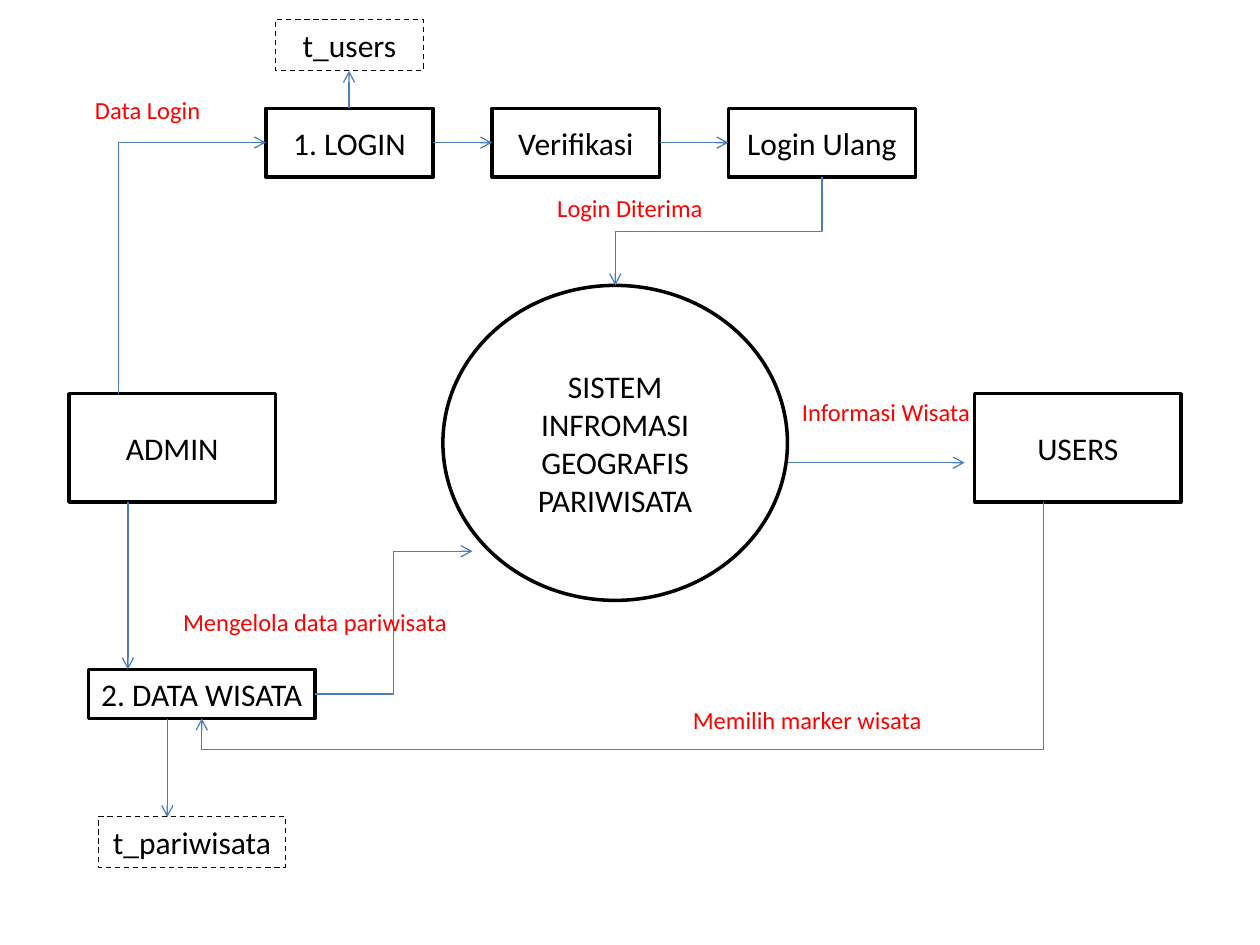
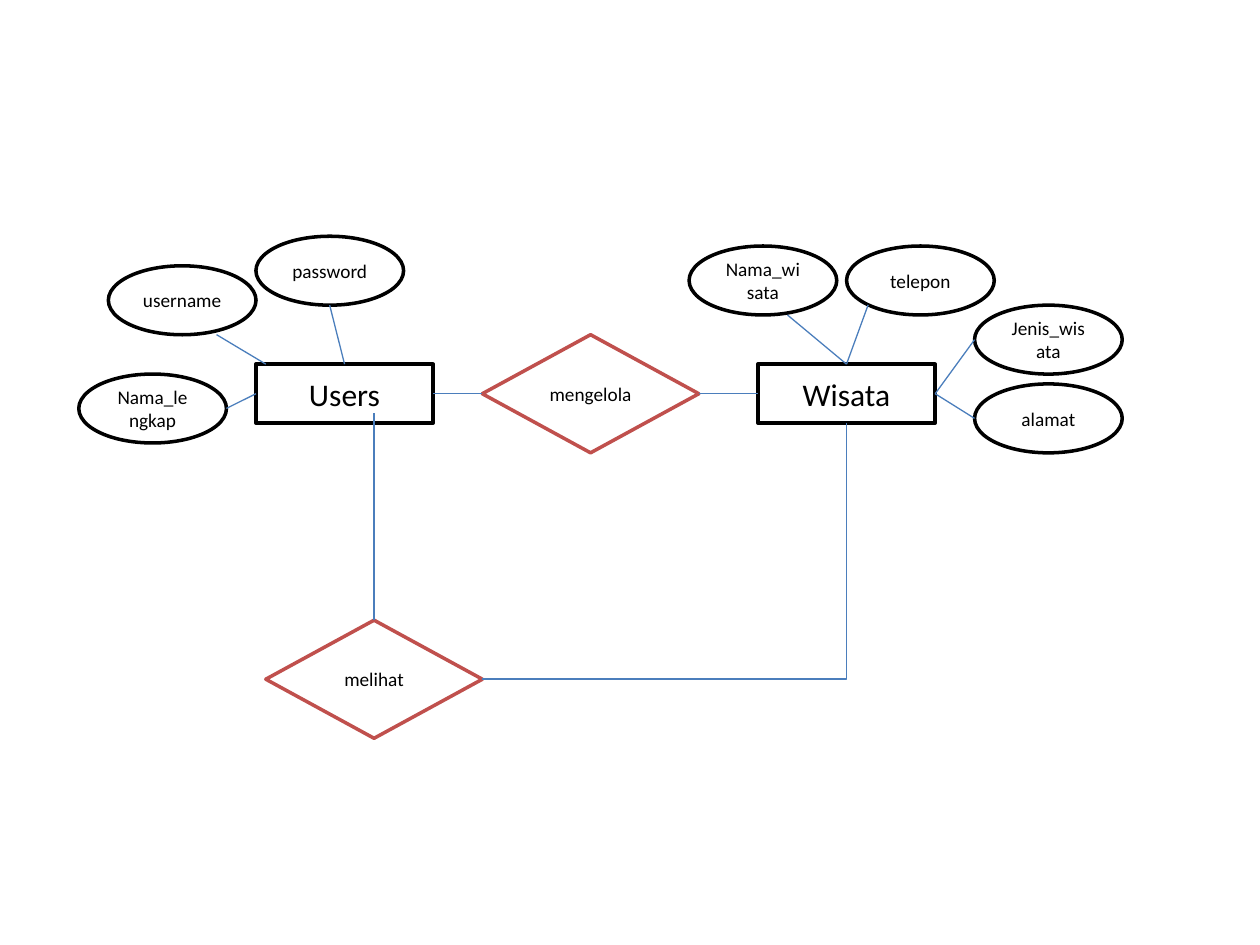
from dataclasses import dataclass

from lxml import etree
from pptx import Presentation
from pptx.dml.color import RGBColor
from pptx.enum.dml import MSO_LINE
from pptx.enum.shapes import MSO_CONNECTOR, MSO_SHAPE
from pptx.enum.text import MSO_ANCHOR, MSO_AUTO_SIZE, PP_ALIGN
from pptx.oxml.ns import qn
from pptx.util import Pt

RECT, ELLIPSE, DIAMOND = MSO_SHAPE.RECTANGLE, MSO_SHAPE.OVAL, MSO_SHAPE.DIAMOND
STRAIGHT, ELBOW = MSO_CONNECTOR.STRAIGHT, MSO_CONNECTOR.ELBOW
DASH = MSO_LINE.DASH
MIDDLE, TOP = MSO_ANCHOR.MIDDLE, MSO_ANCHOR.TOP
CENTER = PP_ALIGN.CENTER
GROW = MSO_AUTO_SIZE.SHAPE_TO_FIT_TEXT

BLACK = RGBColor(0x00, 0x00, 0x00)
WHITE = RGBColor(0xFF, 0xFF, 0xFF)
RED = RGBColor(0xFF, 0x00, 0x00)
BRICK = RGBColor(0xC0, 0x50, 0x4D)
BLUE = RGBColor(0x4B, 0x7E, 0xBC)
FONT = "Calibri"
THICK, THIN = 2, 0.75
LABEL_W, LABEL_H = 213.75, 24.25


@dataclass
class Node:
    text: str
    x: float
    y: float
    w: float
    h: float
    kind: int = RECT
    size: float = 18
    line: RGBColor = BLACK


@dataclass
class Label:
    text: str
    x: float
    y: float
    w: float = LABEL_W
    h: float = LABEL_H
    size: float = 14
    color: RGBColor = RED
    dashed: bool = False


@dataclass
class Link:
    start: tuple[float, float]
    end: tuple[float, float]
    arrow: bool = False
    bends: int = 0
    turn: int = 0
    adjust: tuple[float, ...] = ()


def write(tf, text: str, size: float, color: RGBColor, anchor) -> None:
    tf.word_wrap = True
    tf.vertical_anchor = anchor
    p = tf.paragraphs[0]
    p.alignment = CENTER
    r = p.add_run()
    r.text = text
    r.font.name = FONT
    r.font.size = Pt(size)
    r.font.color.rgb = color


def draw_node(s, node: Node) -> None:
    sp = s.shapes.add_shape(node.kind, Pt(node.x), Pt(node.y), Pt(node.w), Pt(node.h))
    sp.shadow.inherit = False
    sp.fill.solid()
    sp.fill.fore_color.rgb = WHITE
    sp.line.color.rgb = node.line
    sp.line.width = Pt(THICK)
    write(sp.text_frame, node.text, node.size, BLACK, MIDDLE)


def draw_label(s, label: Label) -> None:
    sp = s.shapes.add_textbox(Pt(label.x), Pt(label.y), Pt(label.w), Pt(label.h))
    if label.dashed:
        sp.line.color.rgb = BLACK
        sp.line.width = Pt(THIN)
        sp.line.dash_style = DASH
    write(sp.text_frame, label.text, label.size, label.color, TOP)
    sp.text_frame.auto_size = GROW


def unturned(link: Link) -> list[float]:
    cx = (link.start[0] + link.end[0]) / 2
    cy = (link.start[1] + link.end[1]) / 2
    dx, dy = link.start[0] - cx, link.start[1] - cy
    for _ in range(link.turn // 90):
        dx, dy = dy, -dx
    return [cx + dx, cy + dy, cx - dx, cy - dy]


def draw_link(s, link: Link) -> None:
    kind = ELBOW if link.bends else STRAIGHT
    cn = s.shapes.add_connector(kind, *(Pt(v) for v in unturned(link)))
    cn.line.color.rgb = BLUE
    cn.line.width = Pt(THIN)
    sppr = cn._element.spPr
    if link.turn:
        sppr.find(qn("a:xfrm")).set("rot", str(link.turn * 60000))
    if link.bends:
        geom = sppr.find(qn("a:prstGeom"))
        geom.set("prst", f"bentConnector{link.bends + 1}")
        guides = geom.find(qn("a:avLst"))
        for i, value in enumerate(link.adjust, 1):
            etree.SubElement(guides, qn("a:gd"), name=f"adj{i}",
                             fmla=f"val {round(value * 100000)}")
    if link.arrow:
        etree.SubElement(sppr.find(qn("a:ln")), qn("a:tailEnd"), type="arrow")
    etree.SubElement(sppr, qn("a:effectLst"))


def attribute(text: str, x: float, y: float) -> Node:
    return Node(text, x, y, 84.4, 39.4, ELLIPSE, 11)


def relation(text: str, x: float, y: float) -> Node:
    return Node(text, x, y, 123.75, 67.5, DIAMOND, 11, BRICK)


def entity(text: str, x: float) -> Node:
    return Node(text, x, 208.1, 101.25, 33.75)


def table_name(text: str, x: float, y: float, w: float) -> Label:
    return Label(text, x, y, w, 29.1, 18, BLACK, True)


def draw_slide(prs, nodes: list[Node], links: list[Link], labels: list[Label]) -> None:
    s = prs.slides.add_slide(prs.slide_layouts[6])
    for node in nodes:
        draw_node(s, node)
    for link in links:
        draw_link(s, link)
    for label in labels:
        draw_label(s, label)


ACTOR_Y, ACTOR_W, ACTOR_H = 225, 118.1, 61.9
STEP_Y, STEP_W, STEP_H = 61.9, 95.6, 39.4
STEP_MID = 81.5

FLOW_NODES = [
    Node("SISTEM INFROMASI GEOGRAFIS PARIWISATA", 253.1, 163.1, 196.9, 180, ELLIPSE),
    Node("ADMIN", 39.4, ACTOR_Y, ACTOR_W, ACTOR_H),
    Node("USERS", 556.9, ACTOR_Y, ACTOR_W, ACTOR_H),
    Node("1. LOGIN", 151.9, STEP_Y, STEP_W, STEP_H),
    Node("Verifikasi", 281.25, STEP_Y, STEP_W, STEP_H),
    Node("Login Ulang", 416.25, STEP_Y, 106.9, STEP_H),
    Node("2. DATA WISATA", 50.6, 382.5, 129.4, 28.1),
]
FLOW_LINKS = [
    Link((67.5, 225), (151.9, STEP_MID), True, 1, 90),
    Link((247.5, STEP_MID), (281.25, STEP_MID), True),
    Link((376.9, STEP_MID), (416.25, STEP_MID), True),
    Link((469.7, 101.25), (351.6, 163.1), True, 2, 90, (0.5,)),
    Link((73.1, 286.9), (73.1, 382.5), True),
    Link((180, 396.6), (270, 315), True, 2, 0, (0.5,)),
    Link((450, 264.4), (551.25, 264.4), True),
    Link((596.25, 286.9), (115.3, 410.6), True, 3, 180, (0, 1.145)),
    Link((199.5, 61.9), (199.5, 40.5), True),
    Link((95.6, 410.6), (95.6, 467), True),
]
FLOW_LABELS = [
    Label("Data Login", -22.5, 50.6),
    Label("Login Diterima", 253.1, 106.9),
    Label("Informasi Wisata", 399.4, 223.2),
    Label("Memilih marker wisata", 354.4, 399.4),
    Label("Mengelola data pariwisata", 73.1, 343.4),
    table_name("t_users", 157.5, 11.25, 84.4),
    table_name("t_pariwisata", 56.25, 466.6, 106.9),
]

USERS_MID, WISATA_TOP, WISATA_SIDE = 225, (483.75, 208.1), (534.4, 225)

ER_NODES = [
    entity("Users", 146.25),
    entity("Wisata", 433.1),
    relation("mengelola", 275.6, 191.25),
    relation("melihat", 151.9, 354.4),
    attribute("username", 61.9, 151.9),
    attribute("password", 146.25, 135),
    attribute("Nama_lengkap", 45, 213.75),
    attribute("Nama_wisata", 393.75, 140.6),
    attribute("telepon", 483.75, 140.6),
    attribute("Jenis_wisata", 556.9, 174.4),
    attribute("alamat", 556.9, 219.4),
]
ER_LINKS = [
    Link((196.9, 208.1), (188.4, 174.4)),
    Link((151.9, 208.1), (123.75, 191.25)),
    Link((146.25, USERS_MID), (129.4, 233.4)),
    Link((247.5, USERS_MID), (275.6, USERS_MID)),
    Link((399.4, USERS_MID), (433.1, USERS_MID)),
    Link(WISATA_TOP, (450, 180)),
    Link(WISATA_TOP, (496.1, 174.2)),
    Link(WISATA_SIDE, (556.9, 194.1)),
    Link(WISATA_SIDE, (556.9, 239.1)),
    Link((213.75, 236.25), (213.75, 354.4)),
    Link((275.6, 388.1), (483.75, 241.9), bends=1),
]

prs = Presentation()
prs.slide_width, prs.slide_height = Pt(720), Pt(540)
draw_slide(prs, FLOW_NODES, FLOW_LINKS, FLOW_LABELS)
draw_slide(prs, ER_NODES, ER_LINKS, [])
prs.save("out.pptx")
